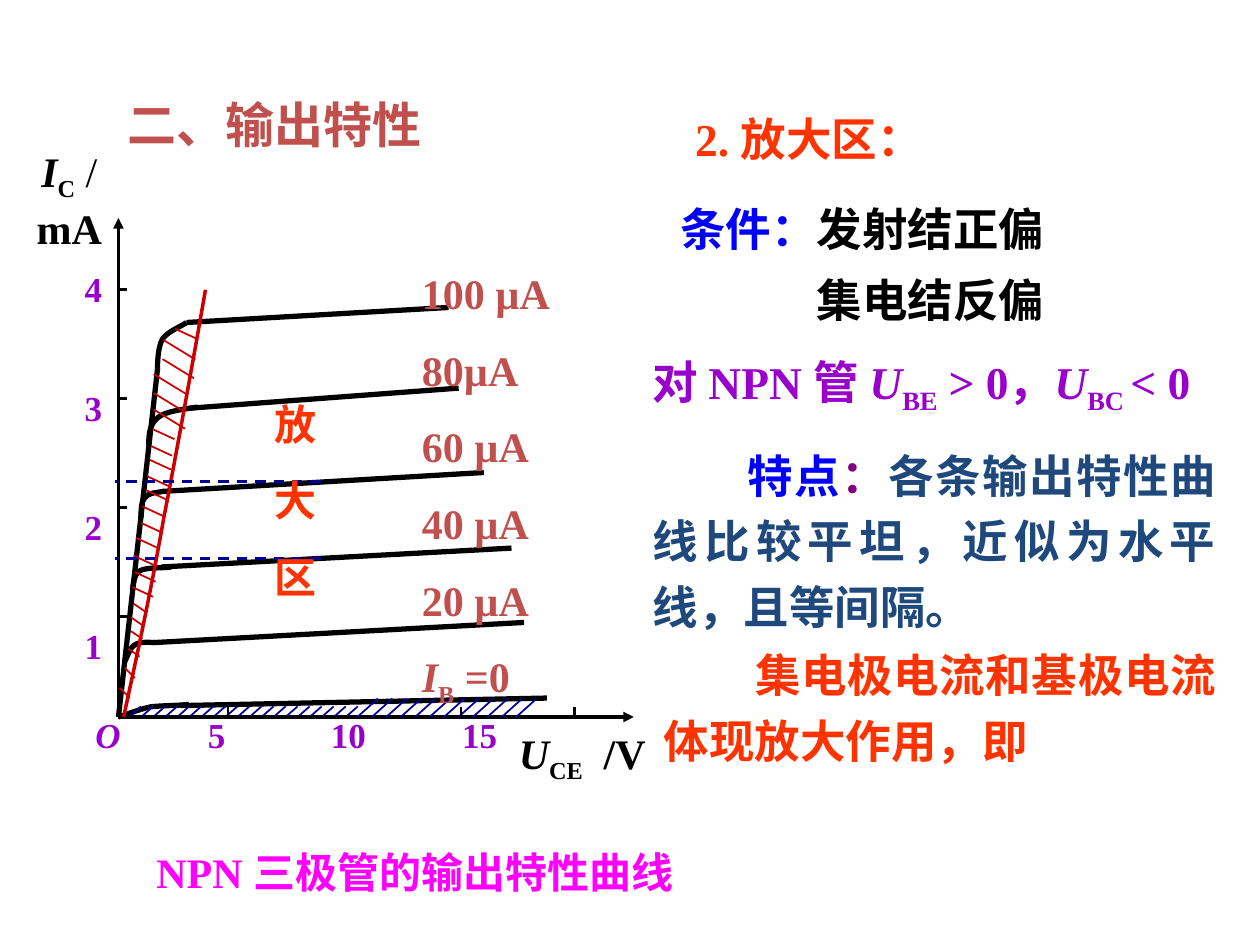
"""Draw the output curves of an NPN transistor beside notes on its active region."""
from typing import NamedTuple, Optional

from lxml import etree
from pptx import Presentation
from pptx import util as u
from pptx.dml.color import RGBColor
from pptx.enum import dml, shapes, text
from pptx.oxml import ns

FONT = "Times New Roman"
BLACK = RGBColor(0x00, 0x00, 0x00)
BRICK = RGBColor(0xC0, 0x50, 0x4D)
ORANGE = RGBColor(0xFF, 0x33, 0x00)
BLUE = RGBColor(0x00, 0x00, 0xFF)
NAVY = RGBColor(0x1F, 0x49, 0x7D)
PURPLE = RGBColor(0x99, 0x00, 0xCC)
PLUM = RGBColor(0x80, 0x00, 0x80)
PINK = RGBColor(0xFF, 0x00, 0xFF)
RED = RGBColor(0xCC, 0x00, 0x00)
INK = RGBColor(0x00, 0x00, 0x99)
LEFT, MID, JUST = text.PP_ALIGN.LEFT, text.PP_ALIGN.CENTER, text.PP_ALIGN.JUSTIFY


class Line(NamedTuple):
    x: float
    y: float
    dx: float
    dy: float
    hue: RGBColor = BLACK
    width: float = 3
    arrow: bool = False
    dash: bool = False


class Curve(NamedTuple):
    points: list
    hue: RGBColor = BLACK
    width: float = 3


class Run(NamedTuple):
    words: str
    hue: Optional[RGBColor] = None
    slant: bool = False
    sub: bool = False
    bold: bool = True


class Box(NamedTuple):
    x: float
    y: float
    w: float
    h: float
    size: float
    hue: RGBColor
    paras: list
    align: text.PP_ALIGN = LEFT
    pitch: Optional[float] = None
    gap: float = 0
    indents: tuple = ()
    tabs: tuple = ()
    wrap: bool = True
    anchor: text.MSO_ANCHOR = text.MSO_ANCHOR.TOP


def draw_line(slide, line: Line) -> None:
    """Draw a straight line, with an arrowhead or dashes where asked."""
    ends = (line.x, line.y, line.x + line.dx, line.y + line.dy)
    shape = slide.shapes.add_connector(shapes.MSO_CONNECTOR.STRAIGHT, *map(u.Pt, ends))
    shape.line.color.rgb = line.hue
    shape.line.width = u.Pt(line.width)
    if line.dash:
        shape.line.dash_style = dml.MSO_LINE.DASH
    if line.arrow:
        etree.SubElement(shape.line._get_or_add_ln(), ns.qn("a:tailEnd"), type="triangle")
    etree.SubElement(shape._element.spPr, ns.qn("a:effectLst"))


def draw_curve(slide, curve: Curve) -> None:
    """Draw an open outline whose points form a chain of cubic arcs."""
    first, *rest = [(u.Pt(x), u.Pt(y)) for x, y in curve.points]
    pen = slide.shapes.build_freeform(*first, scale=1.0)
    pen.add_line_segments(rest, close=False)
    shape = pen.convert_to_shape()
    steps = list(shape._element.iter(ns.qn("a:lnTo")))
    for i in range(0, len(steps), 3):
        arc = etree.Element(ns.qn("a:cubicBezTo"))
        steps[i].addprevious(arc)
        for step in steps[i:i + 3]:
            arc.append(step[0])
            step.getparent().remove(step)
    shape.shadow.inherit = False
    shape.fill.background()
    shape.line.color.rgb = curve.hue
    shape.line.width = u.Pt(curve.width)


def draw_box(slide, box: Box) -> None:
    """Write a text box with its paragraphs and runs."""
    shape = slide.shapes.add_textbox(*map(u.Pt, (box.x, box.y, box.w, box.h)))
    frame = shape.text_frame
    frame.word_wrap = box.wrap
    frame.vertical_anchor = box.anchor
    for i, runs in enumerate(box.paras):
        para = frame.paragraphs[0] if i == 0 else frame.add_paragraph()
        props = para._p.get_or_add_pPr()
        props.set("hangingPunct", "0")
        if box.indents:
            props.set("indent", str(u.Pt(box.indents[i])))
        look = {"alignment": box.align, "line_spacing": box.pitch,
                "space_before": u.Pt(box.gap if i else 0)}
        for key, value in look.items():
            setattr(para, key, value)
        if box.tabs:
            stops = etree.SubElement(props, ns.qn("a:tabLst"))
            for stop in box.tabs:
                etree.SubElement(stops, ns.qn("a:tab"), pos=str(u.Pt(stop)), algn="l")
        for part in runs:
            run = para.add_run()
            run.text = part.words
            style = {"name": FONT, "size": u.Pt(box.size), "bold": part.bold,
                     "italic": part.slant}
            for key, value in style.items():
                setattr(run.font, key, value)
            run.font.color.rgb = part.hue or box.hue
            if part.sub:
                run._r.get_or_add_rPr().set("baseline", "-25000")


def rows(*words: str) -> list:
    """Return one plain paragraph for each string."""
    return [[Run(word)] for word in words]


AXES = [Line(67.7, 409.7, 294.5, 0, width=2, arrow=True),
        Line(67.7, 409.7, 0, -285.1, width=2, arrow=True)]
FLATS = [Line(67.7, 409.7, 22.3, -198.7), Line(106.6, 184.3, 149.7, -8.6),
         Line(108, 233.3, 154.1, -11.5), Line(92.9, 280.8, 183.6, -10.8),
         Line(92.2, 324, 200.1, -10.8), Line(87.8, 367.2, 211.7, -11.5),
         Line(103, 403.2, 209.5, -4.3)]
KNEES = [
    Curve([(90, 211.7), (90, 208.8), (90, 198.7), (92.9, 193.7),
           (95.8, 189.4), (103.7, 186.5), (106.6, 184.3)]),
    Curve([(85, 254.2), (85, 247.7), (85.7, 241.9), (90.7, 238.3),
           (95, 234.7), (109.4, 233.3), (113, 232.6)]),
    Curve([(80.6, 295.9), (80.6, 291.6), (80.6, 286.6), (82.8, 284.4),
           (85, 281.5), (89.3, 281.5), (93.6, 280.8)]),
    Curve([(75.6, 337), (76.3, 334.8), (76.3, 328.3), (79.9, 326.2),
           (83.5, 324), (94.3, 324.7), (97.9, 324)]),
    Curve([(71.3, 378), (72.7, 375.8), (74.2, 370.1), (77, 368.6),
           (79.9, 366.5), (85.7, 367.2), (88.6, 367.2)]),
    Curve([(67.7, 409.7), (70.6, 409), (79.2, 405.4), (86.4, 403.9),
           (92.9, 403.2), (103.7, 403.2), (108, 402.5)]),
    Curve([(70.6, 409.7), (78.5, 373.7), (86.4, 337), (93.6, 295.9),
           (101.5, 255.6), (113.8, 186.5), (117.4, 165.6)], RED, 2)]
HATCH = {
    (11.9, 5.5): [(100.1, 187.9), (87.8, 245.5), (86.4, 254.9), (85.7, 262.8),
                  (84.2, 272.2), (83.5, 280.1), (81.4, 289.4), (80.6, 298.8),
                  (77.8, 307.4), (76.3, 317.5), (77, 326.9), (75.6, 335.5)],
    (18, 11): [(93.6, 194.4), (92.9, 205.2), (87.8, 213.8), (87.8, 224.6), (87.8, 234)],
    (6.4, 4.4): [(76.3, 344.9), (74.9, 352.8), (74.9, 360.7), (73.4, 370.8)],
    (5.8, 5.8): [(71.3, 381.6), (68.4, 393.1)]}
SHADE = [Line(x, y, *size, RED, 1) for size, spots in HATCH.items() for x, y in spots]
SHADE += [Line(306.7 - 8.25 * i, 399.2, -12, 10.8, INK, 1) for i in range(12)]
SHADE += [Line(80.6 + 6.88 * i, 403.7, -6, 5.3, INK, 1) for i in range(19)]
GUIDES = [Line(183.4, y, -117.4, 0, INK, 1.5, dash=True) for y in (275, 319)]
TICKS = [Line(x, 404, 0, 5.5, width=1.5) for x in (130.3, 263.5, 328.3)]
TICKS += [Line(66.6, 165.6 + 62.2 * i, 6, 0, width=1.5) for i in range(4)]

CURRENT = [Run("I", slant=True), Run("C", sub=True), Run(" / ", bold=False), Run("mA")]
VOLTAGE = [Run("U", slant=True), Run("CE", sub=True), Run("\t/V")]
BASE = [Run("I", slant=True), Run("B", sub=True), Run(" =0")]
BIAS = [Run("对 NPN 管 "), Run("U", slant=True), Run("BE", sub=True), Run(" > 0，"),
        Run("U", slant=True), Run("BC ", sub=True), Run("< 0")]
TRAIT = [Run("特点", BLUE), Run("：", PLUM), Run("各条输出特性曲线比较平坦，近似为水平线，且等间隔。")]
MIDDLE = text.MSO_ANCHOR.MIDDLE
BOXES = [
    Box(390.2, 59.8, 329.8, 38.9, 26, ORANGE, rows("2. 放大区：")),
    Box(381.6, 102.2, 284.4, 88.6, 26, BLACK,
        [[Run("条件：", BLUE), Run("发射结正偏")], [Run("集电结反偏")]],
        pitch=1.3, indents=(0, 78)),
    Box(365.8, 246.2, 336.2, 119.5, 26, NAVY, [TRAIT], JUST, 1.2, indents=(54,)),
    Box(66, 50.4, 221.8, 41, 28, BRICK, rows("二、输出特性")),
    Box(-5, 93.6, 89.3, 40.3, 24, BLACK, [CURRENT], MID, wrap=False, anchor=MIDDLE),
    Box(289.4, 411.8, 95, 40.3, 24, BLACK, [VOLTAGE], tabs=(48.5,), anchor=MIDDLE),
    Box(234, 149.4, 100, 303, 24, BRICK,
        rows("100 µA", "80µA", "60 µA", "40 µA", "20 µA") + [BASE], gap=15),
    Box(47.5, 403.9, 300.2, 31.7, 20, PURPLE,
        [[Run("O", slant=True), Run("\t5\t10\t15")]], tabs=(64.2, 134.5, 209.5)),
    Box(23.8, 151.9, 59, 233.3, 20, PURPLE, rows("4", "3", "2", "1"), MID, 0.9, 46.5),
    Box(372.2, 360, 329.8, 82.1, 26, ORANGE,
        rows("集电极电流和基极电流体现放大作用，即"), JUST, 1.2, indents=(52.5,)),
    Box(149.8, 223.9, 41.8, 123.8, 24, ORANGE, rows("放", "大", "区"), gap=15),
    Box(365.8, 198.7, 336.2, 74.2, 26, PURPLE, [BIAS]),
    Box(27, 480.2, 420, 36, 24, PINK, rows("NPN 三极管的输出特性曲线"), MID)]


def main() -> None:
    """Build and save the slide."""
    deck = Presentation()
    deck.slide_width, deck.slide_height = u.Pt(720), u.Pt(540)
    slide = deck.slides.add_slide(deck.slide_layouts[6])
    for line in AXES + FLATS:
        draw_line(slide, line)
    for curve in KNEES:
        draw_curve(slide, curve)
    for line in SHADE + GUIDES + TICKS:
        draw_line(slide, line)
    for box in BOXES:
        draw_box(slide, box)
    deck.save("out.pptx")


if __name__ == "__main__":
    main()
